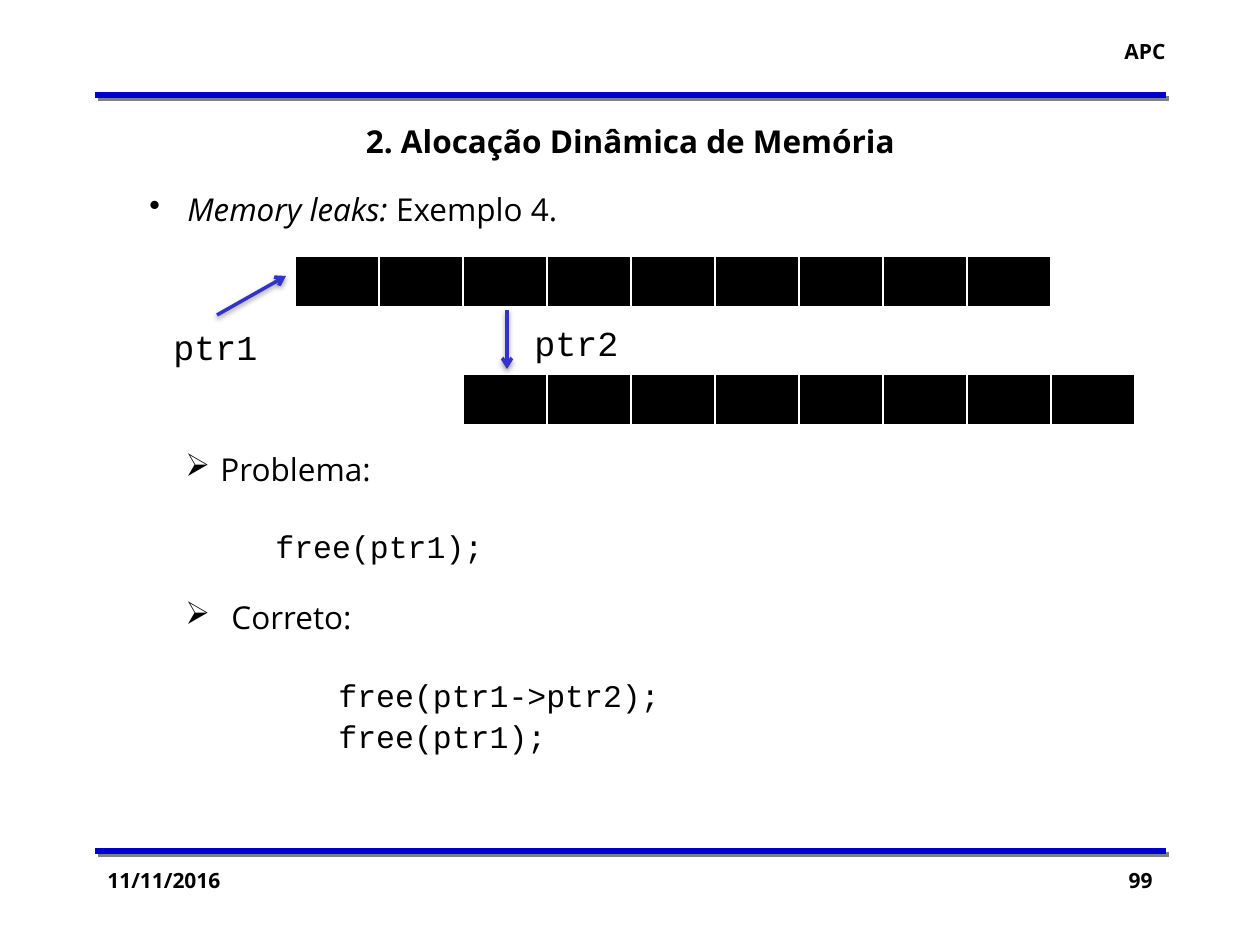
from dataclasses import dataclass

from lxml.etree import SubElement
from pptx import Presentation
from pptx.dml.color import RGBColor
from pptx.enum.shapes import MSO_CONNECTOR as Connector
from pptx.enum.text import PP_ALIGN as Align
from pptx.oxml.ns import qn
from pptx.util import Emu, Pt

SCALE = 914400 / 126
SANS, MONO = "Open Sans", "Courier New"
BLACK, WHITE, RULE_BLUE, ARROW_BLUE = "000000", "FFFFFF", "0000CC", "3333CC"
CELL_WIDTH, CELL_HEIGHT = 84, 52


@dataclass
class Shadow:
    color: str
    alpha: int
    blur: float
    distance: float
    angle: int


@dataclass
class Stroke:
    start: tuple[int, int]
    end: tuple[int, int]
    color: str
    width: float
    shadow: Shadow
    arrow: bool = False


@dataclass
class Line:
    text: str
    size: int = 18
    font: str = SANS
    bold: bool = False
    align: Align = Align.LEFT
    italic_lead: str = ""
    bullet: str = ""
    left: int = 0
    hang: int = 0
    before: float = 0


@dataclass
class Label:
    area: tuple[int, int, int, int]
    lines: list[Line]
    wrap: bool = True


@dataclass
class Blocks:
    left: int
    top: int
    count: int


RULE_SHADOW = Shadow("808080", 100, 0, 2.8, 45)
ARROW_SHADOW = Shadow("000000", 38, 3.1, 1.6, 90)
STROKES = [
    *(Stroke((95, y), (1166, y), RULE_BLUE, 3, RULE_SHADOW) for y in (95, 851)),
    Stroke((217, 315), (286, 276), ARROW_BLUE, 2, ARROW_SHADOW, True),
    Stroke((507, 310), (507, 369), ARROW_BLUE, 2, ARROW_SHADOW, True),
]
BLOCKS = [Blocks(295, 256, 9), Blocks(295 + 2 * CELL_WIDTH, 374, 8)]
BODY = [
    Line("Exemplo 4.", italic_lead="Memory leaks: ", bullet="•", left=38, hang=38),
    Line("Problema:", bullet="➢", left=71, hang=35, before=127),
    Line("free(ptr1);", font=MONO, left=126, before=22.5),
    Line("Correto:", bullet="➢", left=82, hang=46, before=19),
    Line("free(ptr1->ptr2);", font=MONO, left=189, before=23),
    Line("free(ptr1);", font=MONO, left=189, before=1.3),
]
LABELS = [
    Label((1105, 32, 73, 38), [Line("APC", 12, bold=True, align=Align.RIGHT)], False),
    Label((95, 861, 262, 63), [Line("11/11/2016", 12, bold=True)]),
    Label((903, 861, 262, 63), [Line("99", 12, bold=True, align=Align.RIGHT)]),
    Label((137, 184, 1004, 624), BODY),
    Label((95, 116, 1071, 50),
          [Line("2. Alocação Dinâmica de Memória", bold=True, align=Align.CENTER)]),
    Label((522, 315, 111, 55), [Line("ptr2", 20, MONO)], False),
    Label((161, 319, 111, 55), [Line("ptr1", 20, MONO)], False),
]


def px(value: float) -> Emu:
    return Emu(round(value * SCALE))


def rgb(color: str) -> RGBColor:
    return RGBColor.from_string(color)


def add_stroke(page, stroke: Stroke) -> None:
    line = page.shapes.add_connector(
        Connector.STRAIGHT, *map(px, (*stroke.start, *stroke.end)))
    line.line.color.rgb = rgb(stroke.color)
    line.line.width = Pt(stroke.width)
    properties = line._element.spPr
    if stroke.arrow:
        SubElement(properties.find(qn("a:ln")), qn("a:tailEnd"), type="arrow")
    shadow = stroke.shadow
    effects = SubElement(properties, qn("a:effectLst"))
    outer = SubElement(effects, qn("a:outerShdw"), blurRad=str(Pt(shadow.blur)),
                       dist=str(Pt(shadow.distance)), dir=str(shadow.angle * 60000),
                       algn="ctr", rotWithShape="0")
    color = SubElement(outer, qn("a:srgbClr"), val=shadow.color)
    SubElement(color, qn("a:alpha"), val=str(shadow.alpha * 1000))


def add_label(page, label: Label) -> None:
    frame = page.shapes.add_textbox(*map(px, label.area)).text_frame
    frame.word_wrap = label.wrap
    for index, line in enumerate(label.lines):
        para = frame.add_paragraph() if index else frame.paragraphs[0]
        para.alignment = line.align
        properties = para._p.get_or_add_pPr()
        properties.set("marL", str(px(line.left)))
        properties.set("indent", str(px(-line.hang)))
        if line.bullet:
            SubElement(properties, qn("a:buChar"), char=line.bullet)
        para.space_before = Pt(line.before)
        para.font.size = Pt(line.size)
        para.font.name = line.font
        para.font.bold = line.bold
        para.font.color.rgb = rgb(BLACK)
        if line.italic_lead:
            span = para.add_run()
            span.text = line.italic_lead
            span.font.italic = True
        para.add_run().text = line.text


def add_blocks(page, blocks: Blocks) -> None:
    table = page.shapes.add_table(
        1, blocks.count, px(blocks.left), px(blocks.top),
        px(blocks.count * CELL_WIDTH), px(CELL_HEIGHT)).table
    for column in table.columns:
        column.width = px(CELL_WIDTH)
    for cell in table.iter_cells():
        properties = cell._tc.get_or_add_tcPr()
        for side, width in (("L", 1), ("R", 1), ("T", 1), ("B", 3)):
            border = SubElement(properties, qn(f"a:ln{side}"), w=str(Pt(width)))
            fill = SubElement(border, qn("a:solidFill"))
            SubElement(fill, qn("a:srgbClr"), val=WHITE)
        cell.fill.solid()
        cell.fill.fore_color.rgb = rgb(BLACK)


def build() -> None:
    """Build the memory leak slide and save it."""
    deck = Presentation()
    deck.slide_width, deck.slide_height = px(1260), px(945)
    page = deck.slides.add_slide(deck.slide_layouts[6])
    for blocks in BLOCKS:
        add_blocks(page, blocks)
    for stroke in STROKES:
        add_stroke(page, stroke)
    for label in LABELS:
        add_label(page, label)
    deck.save("out.pptx")


build()
